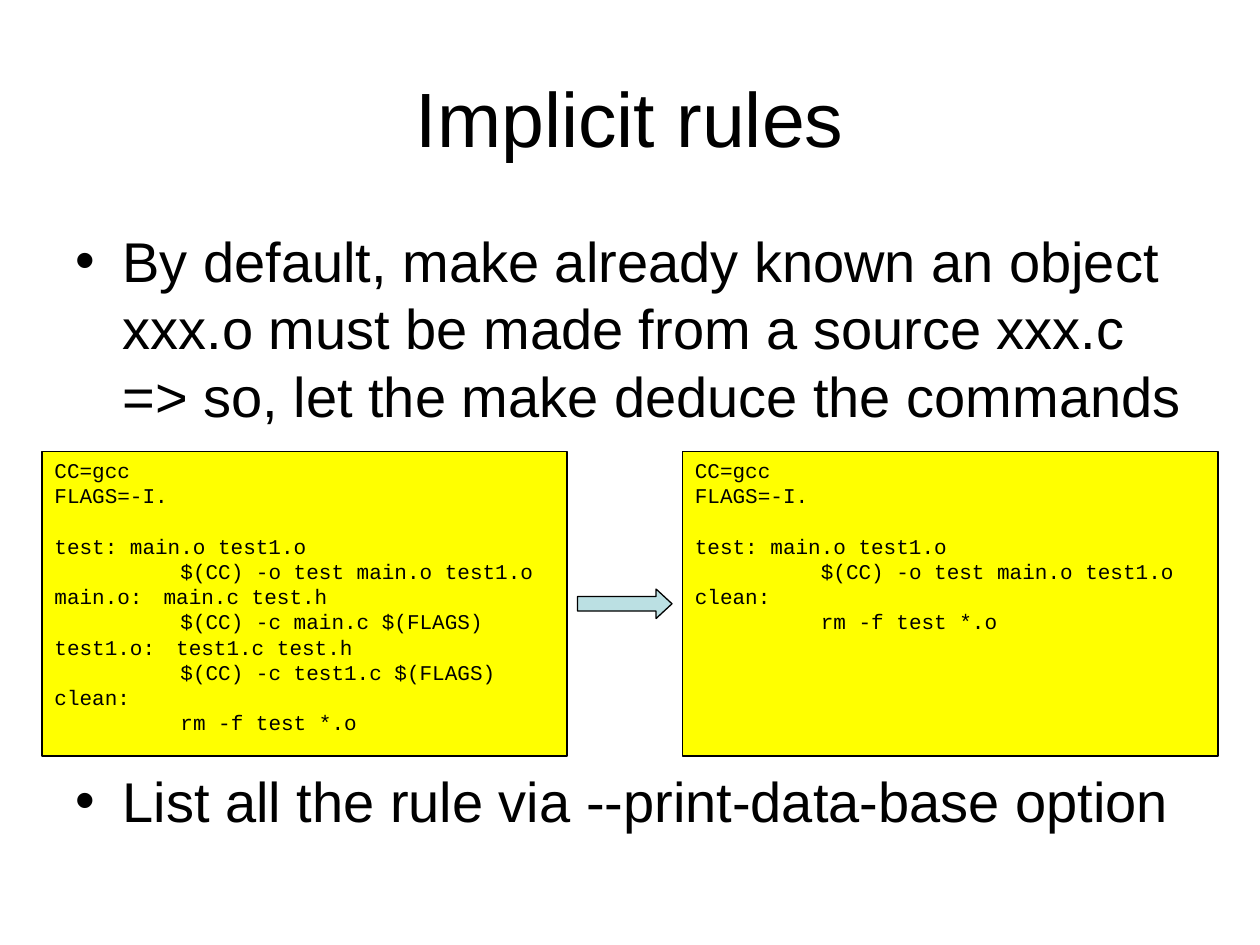
"""Build the slide on implicit make rules."""
import pptx
import pptx.util
import pptx.dml.color
import pptx.enum.shapes
import pptx.enum.text
import pptx.oxml
import pptx.oxml.ns
from dataclasses import dataclass

Pt = pptx.util.Pt
Rgb = pptx.dml.color.RGBColor.from_string
Shape = pptx.enum.shapes.MSO_SHAPE
Align = pptx.enum.text.PP_ALIGN
Anchor = pptx.enum.text.MSO_ANCHOR


@dataclass(frozen=True)
class Theme:
    ink: str = "000000"
    code: str = "FFFF00"
    arrow: str = "BBE0E3"
    sans: str = "Arial"
    mono: str = "Courier New"
    head: int = 44
    body: int = 32
    small: int = 12
    edge: float = 0.74


theme = Theme()

title = "Implicit rules"
points = [
    ("By default, make already known an object xxx.o must be made from "
     "a source xxx.c => so, let the make deduce the commands", 0),
    ("List all the rule via\u00a0--print-data-base\u00a0option", 193),
]
start = [
    ("CC=gcc", 0),
    ("FLAGS=-I.", 0),
    ("test: main.o test1.o", 14.4),
    ("\t$(CC) -o test main.o test1.o", 0),
]
middle = [
    ("main.o:\u3000main.c test.h", 0),
    ("\t$(CC) -c main.c $(FLAGS)", 0),
    ("test1.o:\u3000test1.c test.h", 0),
    ("\t$(CC) -c test1.c $(FLAGS)", 0),
]
end = [("clean:", 0), ("\trm -f test *.o", 0)]
boxes = [(24, 300, start + middle + end), (390, 306, start + end)]
top, tall = 258, 174
gap, thick = 6, 16.8


def apply(item, **values):
    for name, value in values.items():
        setattr(item, name, value)


def write(frame, lines, font, size, **style):
    for i, (text, before) in enumerate(lines):
        para = frame.paragraphs[0] if i == 0 else frame.add_paragraph()
        run = para.add_run()
        run.text = text
        apply(para, space_before=Pt(before), **style)
        apply(run.font, name=font, size=Pt(size))
        run.font.color.rgb = Rgb(theme.ink)


def extend(para, *marks):
    for mark in marks:
        tag, rest = mark.split(" ", 1)
        space = pptx.oxml.ns.nsdecls("a")
        node = pptx.oxml.parse_xml(f"<a:{tag} {space} {rest}")
        para._p.get_or_add_pPr().append(node)


def bullet(para):
    props = para._p.get_or_add_pPr()
    props.set("marL", str(Pt(27)))
    props.set("indent", str(-Pt(27)))
    extend(para, f'buFont typeface="{theme.sans}"/>', 'buChar char="\u2022"/>')


def draw(kind, left, y, width, height, fill):
    shape = slide.shapes.add_shape(kind, Pt(left), Pt(y), Pt(width), Pt(height))
    shape.shadow.inherit = False
    shape.fill.solid()
    shape.fill.fore_color.rgb = Rgb(fill)
    shape.line.color.rgb = Rgb(theme.ink)
    shape.line.width = Pt(theme.edge)
    return shape


deck = pptx.Presentation()
apply(deck, slide_width=Pt(720), slide_height=Pt(540))
slide = deck.slides.add_slide(deck.slide_layouts[5])

head = slide.shapes.title
apply(head, left=Pt(36), top=Pt(21.6), width=Pt(648), height=Pt(90))
head.text_frame.vertical_anchor = Anchor.MIDDLE
write(head.text_frame, [(title, 0)], theme.sans, theme.head,
      alignment=Align.CENTER)

body = slide.shapes.add_textbox(Pt(36), Pt(126), Pt(648), Pt(356.4)).text_frame
apply(body, word_wrap=True, margin_top=Pt(3.5))
write(body, points, theme.sans, theme.body)
for para in body.paragraphs:
    bullet(para)

for left, width, lines in boxes:
    frame = draw(Shape.RECTANGLE, left, top, width, tall, theme.code).text_frame
    apply(frame, word_wrap=True, vertical_anchor=Anchor.TOP)
    write(frame, lines, theme.mono, theme.small, alignment=Align.LEFT)
    for para in frame.paragraphs:
        extend(para, f'tabLst ><a:tab pos="{Pt(72)}" algn="l"/></a:tabLst>')

tail = boxes[0][0] + boxes[0][1] + gap
tip = boxes[1][0] - gap
arrow = draw(Shape.RIGHT_ARROW, tail, top + (tall - thick) / 2,
             tip - tail, thick, theme.arrow)
arrow.adjustments[1] = 0.54

deck.save("out.pptx")
